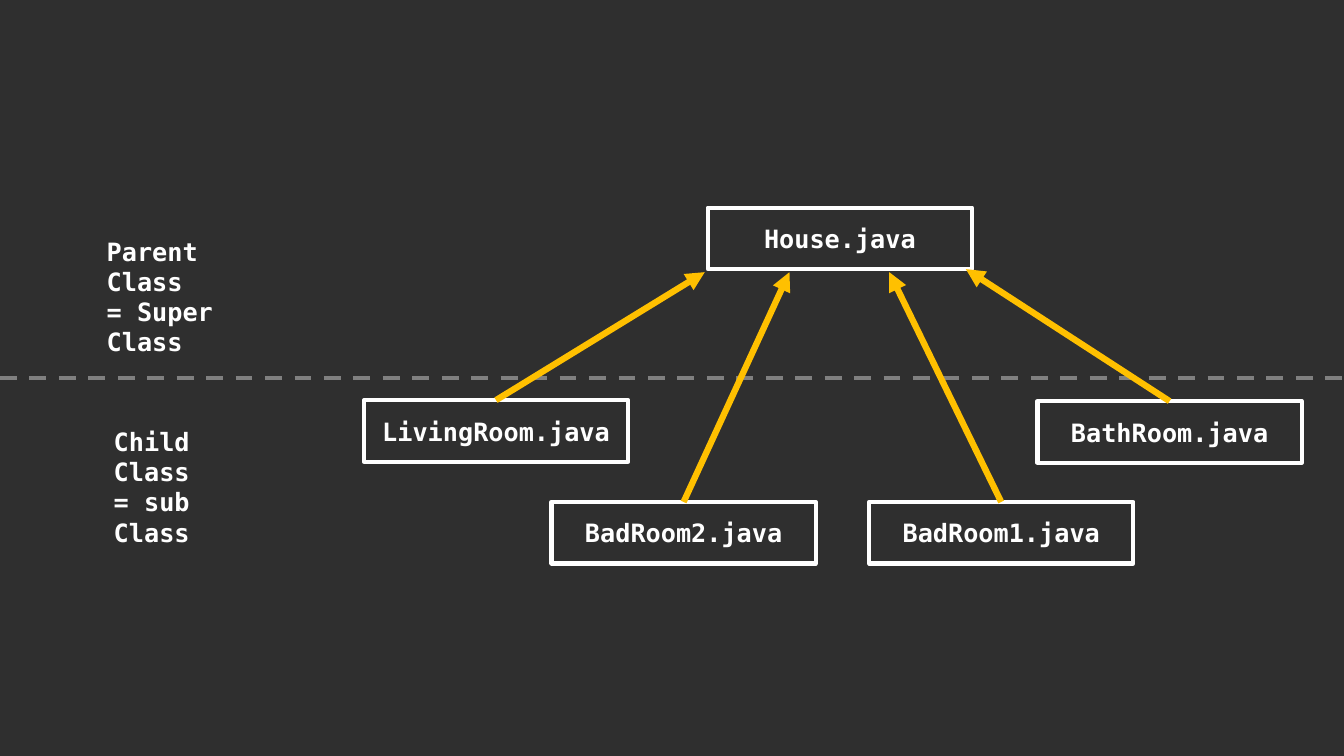
from lxml.etree import SubElement
from pptx import Presentation
from pptx.dml.color import RGBColor
from pptx.enum.dml import MSO_LINE
from pptx.enum.shapes import MSO_CONNECTOR, MSO_SHAPE
from pptx.enum.text import MSO_ANCHOR, MSO_AUTO_SIZE, PP_ALIGN
from pptx.oxml.ns import qn
from pptx.util import Inches, Pt

COLORS = {"background": "2F2F2F", "white": "FFFFFF", "divider": "808080", "arrow": "FFC000"}
FONT = "DejaVu Sans Mono"
SLIDE_WIDTH, SLIDE_HEIGHT = 13.33, 7.5
BOX_WIDTH, BOX_HEIGHT = 2.62, 0.61

PARENT = ("House.java", 7.02, 2.06)
# name, left and top of the box, then the arrow tip at the parent
CHILDREN = [
    ("BathRoom.java", 10.29, 3.98, (9.58, 2.67)),
    ("BadRoom1.java", 8.62, 4.98, (8.82, 2.7)),
    ("BadRoom2.java", 5.47, 4.98, (7.83, 2.7)),
    ("LivingRoom.java", 3.61, 3.97, (6.99, 2.7)),
]


def color(name):
    return RGBColor.from_string(COLORS[name])


def format_text(paragraph):
    font = paragraph.font
    font.name, font.size, font.bold = FONT, Pt(18), True
    font.color.rgb = color("white")


def add_line(slide, start, end, color_name, width):
    line = slide.shapes.add_connector(
        MSO_CONNECTOR.STRAIGHT, *(Inches(value) for value in (*start, *end)))
    line.line.color.rgb = color(color_name)
    line.line.width = Pt(width)
    SubElement(line._element.spPr, qn("a:effectLst"))
    return line


def add_divider(slide, top):
    divider = add_line(slide, (0, top), (SLIDE_WIDTH, top), "divider", 3)
    divider.line.dash_style = MSO_LINE.DASH


def add_arrow(slide, start, end):
    arrow = add_line(slide, start, end, "arrow", 4.5)
    SubElement(arrow.line._get_or_add_ln(), qn("a:tailEnd"), type="triangle")


def add_class_box(slide, name, left, top):
    box = slide.shapes.add_shape(
        MSO_SHAPE.RECTANGLE, Inches(left), Inches(top), Inches(BOX_WIDTH), Inches(BOX_HEIGHT))
    box.shadow.inherit = False
    box.fill.background()
    box.line.color.rgb = color("white")
    box.line.width = Pt(3)
    box.text_frame.vertical_anchor = MSO_ANCHOR.MIDDLE
    paragraph = box.text_frame.paragraphs[0]
    paragraph.text = name
    paragraph.alignment = PP_ALIGN.CENTER
    format_text(paragraph)


def add_level_label(slide, text, left, top, width):
    label = slide.shapes.add_textbox(Inches(left), Inches(top), Inches(width), Inches(0.71))
    frame = label.text_frame
    frame.word_wrap = True
    frame.auto_size = MSO_AUTO_SIZE.SHAPE_TO_FIT_TEXT
    frame.text = text
    for paragraph in frame.paragraphs:
        format_text(paragraph)


def add_class_tree(slide):
    add_class_box(slide, *PARENT)
    for name, left, top, _ in CHILDREN:
        add_class_box(slide, name, left, top)
    for _, left, top, tip in CHILDREN:
        add_arrow(slide, (left + BOX_WIDTH / 2, top), tip)


def main():
    presentation = Presentation()
    presentation.slide_width = Inches(SLIDE_WIDTH)
    presentation.slide_height = Inches(SLIDE_HEIGHT)
    slide = presentation.slides.add_slide(presentation.slide_layouts[6])
    slide.background.fill.solid()
    slide.background.fill.fore_color.rgb = color("background")

    add_divider(slide, SLIDE_HEIGHT / 2)
    add_class_tree(slide)
    add_level_label(slide, "Parent Class\n= Super Class", 0.96, 2.29, 1.98)
    add_level_label(slide, "Child Class\n= sub Class", 1.03, 4.18, 1.73)
    presentation.save("out.pptx")


if __name__ == "__main__":
    main()
